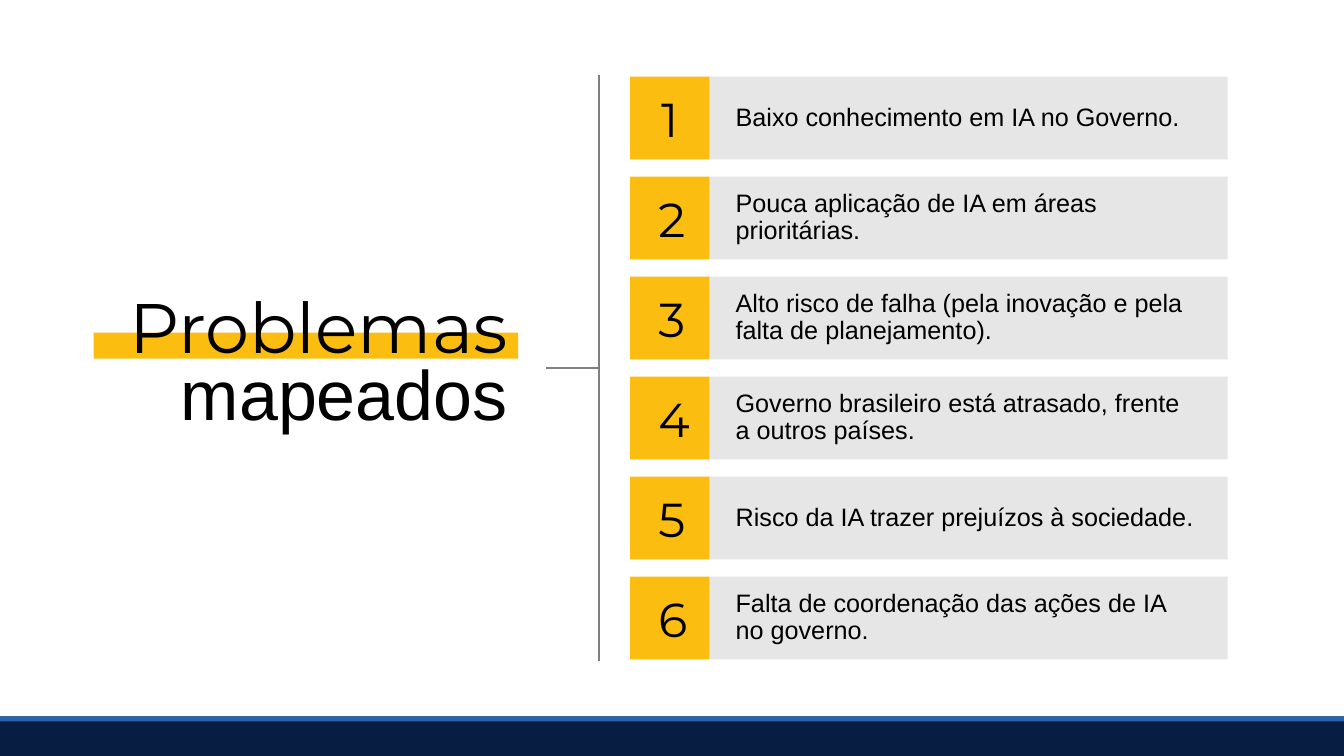
import pptx
import pptx.dml.color
import pptx.enum.shapes
import pptx.enum.text
import pptx.oxml
import pptx.util
from pptx.dml.color import RGBColor
from pptx.util import Cm

NAVY = RGBColor(0x07, 0x1D, 0x41)
BLUE = RGBColor(0x28, 0x64, 0xAE)
YELLOW = RGBColor(0xFA, 0xBD, 0x10)
LIGHT_GRAY = RGBColor(0xE6, 0xE6, 0xE6)
GRAY = RGBColor(0x80, 0x80, 0x80)
BLACK = RGBColor(0, 0, 0)

PROBLEMS = [
    "Baixo conhecimento em IA no Governo.",
    "Pouca aplicação de IA em áreas prioritárias.",
    "Alto risco de falha (pela inovação e pela falta de planejamento).",
    "Governo brasileiro está atrasado, frente a outros países.",
    "Risco da IA trazer prejuízos à sociedade.",
    "Falta de coordenação das ações de IA no governo.",
]
FIRST_TOP, ROW_PITCH, ROW_HEIGHT = 1.93, 2.52, 2.09

deck = pptx.Presentation()
deck.slide_width, deck.slide_height = Cm(33.87), Cm(19.05)
slide = deck.slides.add_slide(deck.slide_layouts[5])


def add_block(left, top, width, height, color):
    block = slide.shapes.add_shape(
        pptx.enum.shapes.MSO_SHAPE.RECTANGLE, Cm(left), Cm(top), Cm(width), Cm(height))
    block.shadow.inherit = False
    block.fill.solid()
    block.fill.fore_color.rgb = color
    block.line.fill.background()
    return block


def write_block(block, text, font_name, size, align, margin_y):
    frame = block.text_frame
    frame.word_wrap = True
    frame.vertical_anchor = pptx.enum.text.MSO_ANCHOR.MIDDLE
    frame.margin_left = frame.margin_right = Cm(0.71)
    frame.margin_top = frame.margin_bottom = Cm(margin_y)
    paragraph = frame.paragraphs[0]
    paragraph.text = text
    paragraph.alignment = align
    paragraph.font.name = font_name
    paragraph.font.size = pptx.util.Pt(size)
    paragraph.font.color.rgb = BLACK
    return paragraph


# Footer band
add_block(0, 18.05, 33.87, 1, NAVY)
add_block(0, 18.05, 33.87, 0.13, BLUE)

# Title, with the highlight behind it
title = slide.shapes.title
title.left, title.top, title.width, title.height = Cm(2.34), Cm(4.45), Cm(10.46), Cm(9.58)
highlight = add_block(2.36, 8.38, 10.7, 0.66, YELLOW)
title.element.addprevious(highlight.element)

title_frame = title.text_frame
title_frame.word_wrap = True
title_frame.auto_size = pptx.enum.text.MSO_AUTO_SIZE.NONE
title_frame.vertical_anchor = pptx.enum.text.MSO_ANCHOR.MIDDLE
title_frame.margin_left = title_frame.margin_right = 0
title_frame.margin_top = title_frame.margin_bottom = 0
heading = title_frame.paragraphs[0]
heading.alignment = pptx.enum.text.PP_ALIGN.RIGHT
heading.line_spacing = 0.8
heading.font.size = pptx.util.Pt(50)
heading.font.color.rgb = BLACK
for word, font_name in (("Problemas", "Montserrat"), (" mapeados", "Arial")):
    run = heading.add_run()
    run.text = word
    run.font.name = font_name

# Bracket between the title and the list
for x1, y1, x2, y2 in ((15.09, 1.88, 15.09, 16.66), (15.09, 9.27, 13.77, 9.27)):
    bracket = slide.shapes.add_connector(
        pptx.enum.shapes.MSO_CONNECTOR.STRAIGHT, Cm(x1), Cm(y1), Cm(x2), Cm(y2))
    bracket.line.color.rgb = GRAY
    bracket.line.width = pptx.util.Pt(1.5)
    bracket.element.spPr.append(pptx.oxml.parse_xml(
        '<a:effectLst xmlns:a="http://schemas.openxmlformats.org/drawingml/2006/main"/>'))

# Numbered problems
for index, problem in enumerate(PROBLEMS):
    top = FIRST_TOP + index * ROW_PITCH
    bar = add_block(17.83, top, 13.11, ROW_HEIGHT, LIGHT_GRAY)
    description = write_block(
        bar, problem, "Arial", 18, pptx.enum.text.PP_ALIGN.LEFT, 0.3)
    description.line_spacing = 0.9
    number = add_block(15.88, top, 2, ROW_HEIGHT, YELLOW)
    write_block(
        number, str(index + 1), "Montserrat", 34, pptx.enum.text.PP_ALIGN.CENTER, 0.13)

deck.save("out.pptx")
